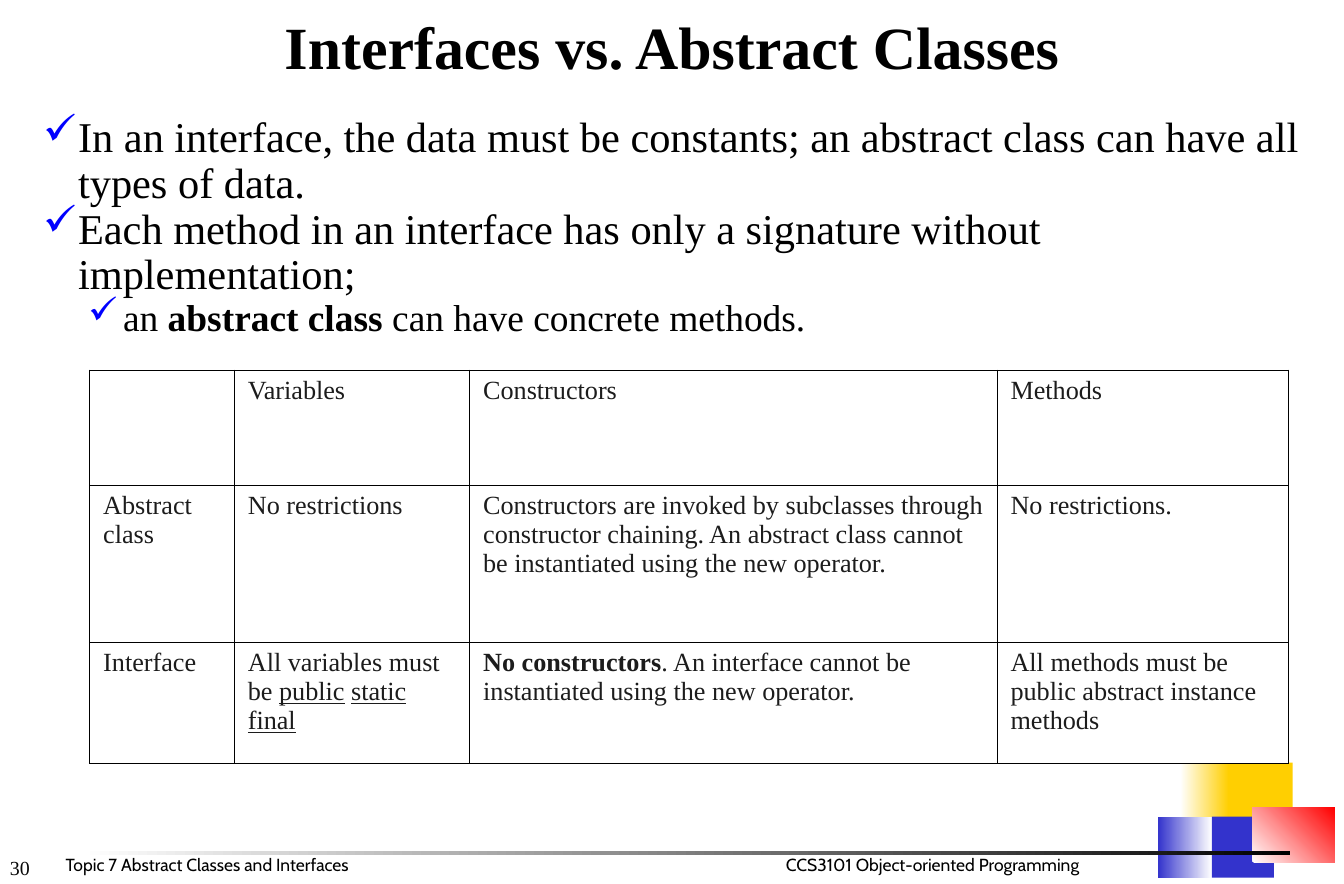
from lxml.etree import SubElement
from pptx import Presentation
from pptx.dml.color import RGBColor as RGB
from pptx.enum.shapes import MSO_SHAPE as SHAPE
from pptx.enum.text import MSO_ANCHOR as ANCHOR, PP_ALIGN as ALIGN
from pptx.oxml.ns import qn
from pptx.util import Inches, Pt

WIDE, HIGH = Inches(14.96), Inches(9.84)
BLACK = RGB(0, 0, 0)
WHITE = RGB(255, 255, 255)
INK = RGB(0x1C, 0x1C, 0x1C)
GRAY = RGB(8, 8, 8)
GOLD = RGB(0xFF, 0xCF, 0x01)
NAVY = RGB(0x33, 0x33, 0xCC)
RED = RGB(255, 0, 0)
TICK = RGB(0, 0, 255)
SERIF = "Times New Roman"

BLOCKS = [
    ((87.83, 86.28, 3.61, 6.91), WHITE, GOLD, 0),
    ((86.16, 92.38, 4.01, 6.91), NAVY, WHITE, 0),
    ((91.38, 86.28, 4.81, 6.91), GOLD, None, 0),
    ((90.17, 92.38, 4.61, 6.91), NAVY, None, 0),
    ((93.18, 91.36, 6.15, 6.2), WHITE, RED, 45),
    ((6.02, 96.24, 89.97, 0.51), WHITE, BLACK, 0),
]
POINTS = [
    (0, 34, "In an interface, the data must be constants; "
            "an abstract class can have all types of data."),
    (0, 34, "Each method in an interface has only a signature "
            "without implementation;"),
    (1, 30, "an *abstract class* can have concrete methods."),
]
COLS = [10.76, 17.51, 39.24, 21.66]
ROWS = [13.01, 17.78, 13.72]
CELLS = [
    ["", "Variables", "Constructors", "Methods"],
    ["Abstract class", "No restrictions",
     "Constructors are invoked by subclasses through constructor chaining. "
     "An abstract class cannot be instantiated using the new operator.",
     "No restrictions."],
    ["Interface", "All variables must be _public_ _static_ _final_",
     "*No constructors*. An interface cannot be instantiated "
     "using the new operator.",
     "All methods must be public abstract instance methods"],
]


def across(share):
    return round(WIDE * share / 100)


def down(share):
    return round(HIGH * share / 100)


def place(box):
    x, y, w, h = box
    return across(x), down(y), across(w), down(h)


def style(item, form):
    for name, value in form.items():
        setattr(item, name, value)


def pad(item, x, y):
    style(item, {"margin_left": Inches(x), "margin_right": Inches(x),
                 "margin_top": Inches(y), "margin_bottom": Inches(y)})


def write(para, text, size, color=BLACK, font=SERIF, bold=False):
    mark, trait = ("_", "underline") if "_" in text else ("*", "bold")
    for turn, part in enumerate(text.split(mark)):
        if part:
            run = para.add_run()
            run.text = part
            style(run.font, {"name": font, "size": Pt(size), "bold": bold})
            run.font.color.rgb = color
            if turn % 2:
                setattr(run.font, trait, True)


def add_text(slide, box, anchor=ANCHOR.TOP):
    frame = slide.shapes.add_textbox(*place(box)).text_frame
    style(frame, {"word_wrap": True, "vertical_anchor": anchor})
    pad(frame, 0.11, 0.06)
    return frame


def add_block(slide, box, start, end, angle):
    shape = slide.shapes.add_shape(SHAPE.RECTANGLE, *place(box))
    shape.shadow.inherit = False
    shape.line.fill.background()
    if end is None:
        shape.fill.solid()
        shape.fill.fore_color.rgb = start
        return
    shape.fill.gradient()
    shape.fill.gradient_angle = angle
    for stop, color in zip(shape.fill.gradient_stops, (start, end)):
        stop.color.rgb = color


def add_title(slide, text):
    title = slide.shapes.title
    spot = place((7.49, 0, 85.03, 11.38))
    style(title, dict(zip(("left", "top", "width", "height"), spot)))
    frame = title.text_frame
    style(frame, {"vertical_anchor": ANCHOR.MIDDLE, "word_wrap": True,
                  "margin_bottom": Inches(0.15)})
    para = frame.paragraphs[0]
    para.alignment = ALIGN.CENTER
    write(para, text, 48, bold=True)


def add_points(slide):
    frame = add_text(slide, (2.47, 12.5, 95.05, 27.74))
    for row, (level, size, text) in enumerate(POINTS):
        para = frame.add_paragraph() if row else frame.paragraphs[0]
        props = para._p.get_or_add_pPr()
        props.set("marL", str(Inches(0.39 + level * 0.5)))
        props.set("indent", str(-Inches(0.39)))
        tint = SubElement(props, qn("a:buClr"))
        SubElement(tint, qn("a:srgbClr"), val=str(TICK))
        SubElement(props, qn("a:buChar"), char="✓")
        style(para, {"level": level, "line_spacing": 0.9})
        write(para, text, size)


def add_edges(cell):
    props = cell._tc.get_or_add_tcPr()
    for side in "LRTB":
        edge = SubElement(props, qn("a:ln" + side), w=str(Pt(1)))
        fill = SubElement(edge, qn("a:solidFill"))
        SubElement(fill, qn("a:srgbClr"), val=str(BLACK))


def add_grid(slide):
    spot = place((6.68, 41.87, sum(COLS), sum(ROWS)))
    grid = slide.shapes.add_table(len(ROWS), len(COLS), *spot).table
    style(grid, {"first_row": False, "horz_banding": False})
    for col, share in zip(grid.columns, COLS):
        col.width = across(share)
    for row, share, texts in zip(grid.rows, ROWS, CELLS):
        row.height = down(share)
        for cell, text in zip(row.cells, texts):
            pad(cell, 0.15, 0.07)
            add_edges(cell)
            cell.fill.solid()
            cell.fill.fore_color.rgb = WHITE
            write(cell.text_frame.paragraphs[0], text, 21, INK)


def add_foot(slide):
    page = add_text(slide, (0, 93.39, 20.86, 6.71), ANCHOR.BOTTOM)
    write(page.paragraphs[0], "30", 16, GRAY)
    para = add_text(slide, (4.14, 96.04, 91.78, 3.56)).paragraphs[0]
    tabs = SubElement(para._p.get_or_add_pPr(), qn("a:tabLst"))
    SubElement(tabs, qn("a:tab"), pos=str(across(53.6)), algn="l")
    write(para, "Topic 7 Abstract Classes and Interfaces\t"
                "CCS3101 Object-oriented Programming", 14, font="Cabin")


def main():
    deck = Presentation()
    style(deck, {"slide_width": WIDE, "slide_height": HIGH})
    slide = deck.slides.add_slide(deck.slide_layouts[5])
    for block in BLOCKS:
        add_block(slide, *block)
    add_foot(slide)
    add_title(slide, "Interfaces vs. Abstract Classes")
    add_points(slide)
    add_grid(slide)
    deck.save("out.pptx")


if __name__ == "__main__":
    main()
